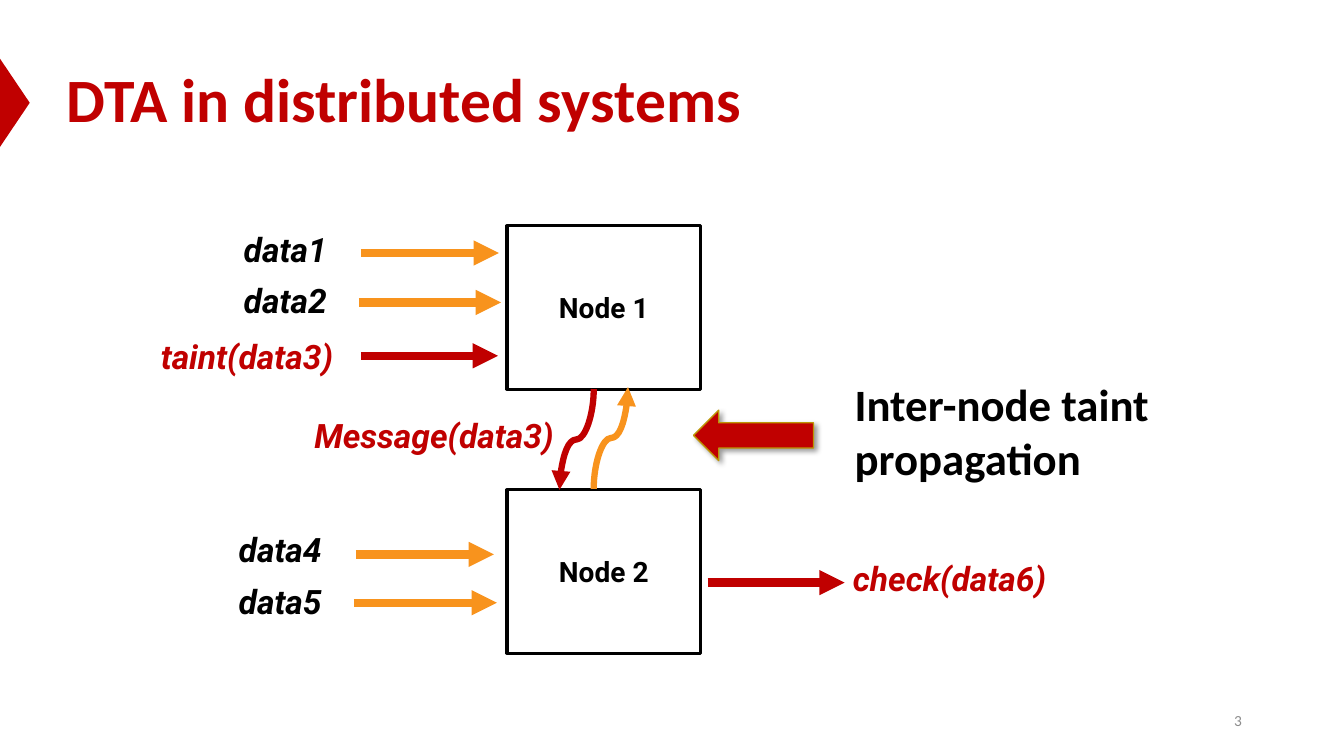
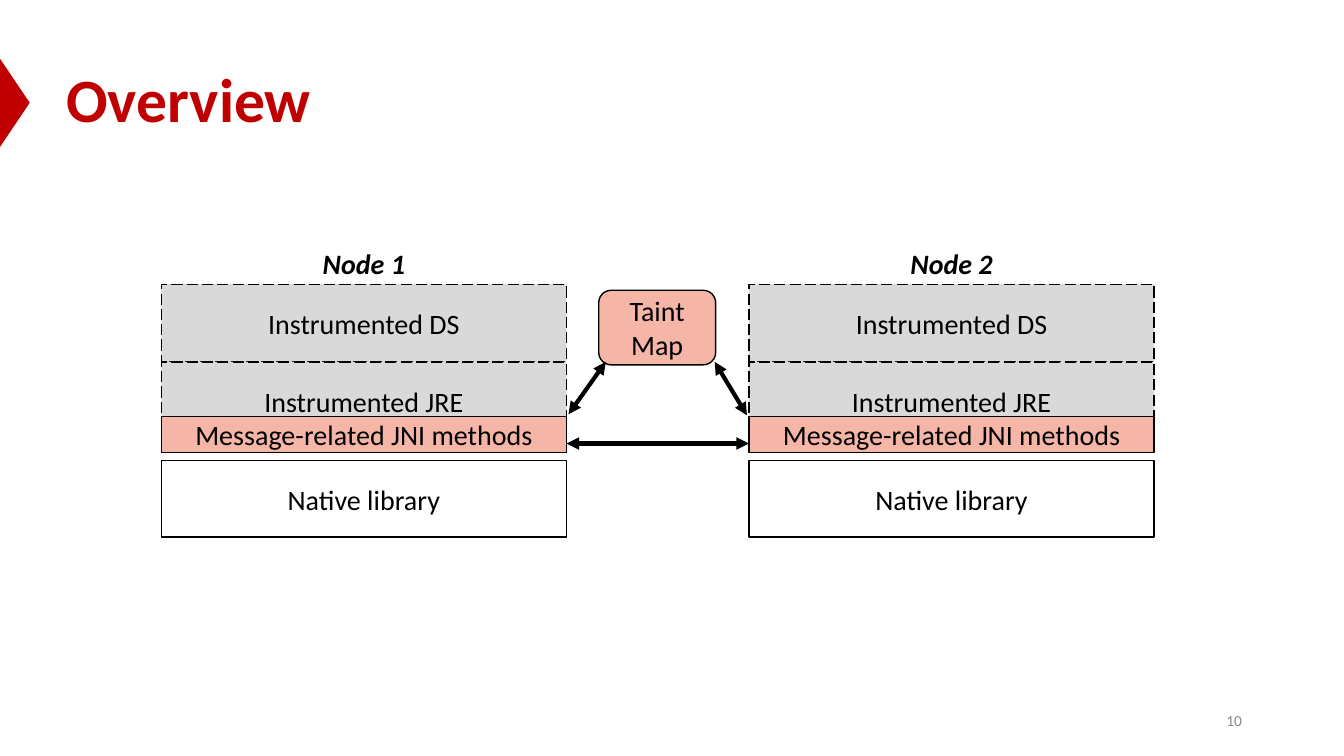
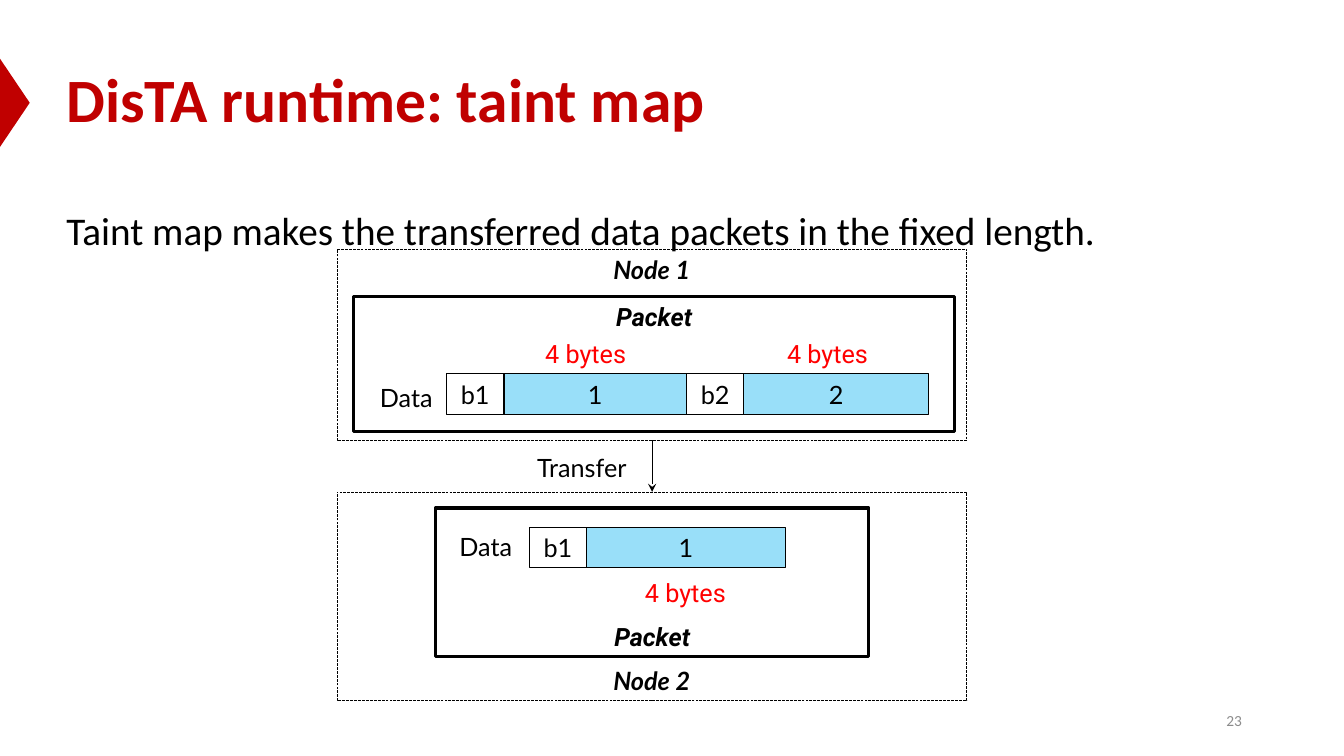
"""Build three slides on distributed taint tracking, on a grid of tenth-inch columns and rows."""
from dataclasses import dataclass
from itertools import accumulate
from typing import NamedTuple, Optional

from lxml.etree import SubElement
from pptx import Presentation
from pptx.dml.color import RGBColor
from pptx.enum.dml import MSO_LINE
from pptx.enum.shapes import MSO_CONNECTOR, MSO_SHAPE
from pptx.enum.text import MSO_ANCHOR, PP_ALIGN
from pptx.oxml.ns import qn
from pptx.util import Inches, Length, Pt


class Area(NamedTuple):
    left: float
    top: float
    width: float
    height: float


class Point(NamedTuple):
    column: float
    row: float


@dataclass(frozen=True)
class Type:
    font: str
    size: float
    color: str = "000000"
    bold: bool = False
    italic: bool = False


@dataclass(frozen=True)
class Theme:
    columns: float = 133.33
    rows: float = 75
    red: str = "C00000"
    orange: str = "F8931D"
    black: str = "000000"
    white: str = "FFFFFF"
    gray: str = "D9D9D9"
    salmon: str = "F5B6A7"
    sky: str = "99DFF9"
    gold: str = "BD9506"
    title: Type = Type("Calibri", 44, "C00000", True)
    number: Type = Type("Calibri", 11, "8C8C8C")
    bullet: Type = Type("Calibri", 28)
    callout: Type = Type("Calibri", 32, bold=True)
    node: Type = Type("Roboto", 20, bold=True)
    data: Type = Type("Roboto", 24, bold=True, italic=True)
    taint: Type = Type("Roboto", 24, "C00000", True, True)
    layer: Type = Type("Calibri", 20)
    layer_head: Type = Type("Calibri", 20, bold=True, italic=True)
    cell: Type = Type("Lato", 18)
    frame: Type = Type("Lato", 18, bold=True, italic=True)
    packet: Type = Type("Roboto", 18, bold=True, italic=True)
    size_note: Type = Type("Roboto", 18, "FF0000")


@dataclass(frozen=True)
class Look:
    fill: Optional[str] = None
    line: Optional[str] = "000000"
    weight: float = 1
    dashed: bool = False


@dataclass(frozen=True)
class Flow:
    label: str
    place: Point
    start: Point
    length: float
    tainted: bool = False


@dataclass(frozen=True)
class Layer:
    label: str
    top: float
    height: float
    look: Look


@dataclass(frozen=True)
class Cell:
    label: str
    width: float
    fill: Optional[str] = None


THEME = Theme()
LABEL_WIDTH, LABEL_HEIGHT = 22, 5
NODE_LOOK = Look(THEME.white, weight=2.25)
NODES = {"Node 1": 22.4, "Node 2": 48.6}
FLOWS = [
    Flow("data1", Point(17.3, 22.2), Point(35.8, 25.1), 13.7),
    Flow("data2", Point(17.3, 27.3), Point(35.6, 30), 14.1),
    Flow("taint(data3)", Point(13.5, 32.8), Point(35.8, 35.3), 13.6, True),
    Flow("data4", Point(16.8, 52), Point(35.3, 55), 13.7),
    Flow("data5", Point(16.8, 57.1), Point(35.1, 59.8), 14.2),
    Flow("check(data6)", Point(83.2, 54.9), Point(70.2, 57.8), 13.6, True),
]
LAYER_WIDTH = 40.2
LAYERS = [
    Layer("Instrumented DS", 28.2, 7.7, Look(THEME.gray, dashed=True)),
    Layer("", 35.9, 7.7, Look(THEME.gray, dashed=True)),
    Layer("Native library", 45.7, 7.6, Look()),
    Layer("Instrumented JRE", 37.6, 4.4, Look(line=None)),
    Layer("Message-related JNI methods", 41.3, 3.6, Look(THEME.salmon)),
]
STACKS = {"Node 1": 16, "Node 2": 74.3}
LINKS = [
    (Point(56.2, 44), Point(74.3, 44)),
    (Point(56.4, 41.1), Point(60.1, 35.9)),
    (Point(74.1, 41.2), Point(70.9, 35.9)),
]
CELL_HEIGHT = 4
SENT = [Cell("b1", 5.7), Cell("1", 18.1, THEME.sky), Cell("b2", 5.7), Cell("2", 18.3, THEME.sky)]
RECEIVED = [Cell("b1", 5.7), Cell("1", 19.7, THEME.sky)]


def grid(units: float) -> Length:
    return Inches(units / 10)


def write(box, text: str, style: Type, align=PP_ALIGN.CENTER, anchor=MSO_ANCHOR.TOP) -> None:
    frame = box.text_frame
    frame.word_wrap = True
    frame.vertical_anchor = anchor
    if anchor == MSO_ANCHOR.MIDDLE:
        frame.margin_top = frame.margin_bottom = 0
    frame.text = text
    for para in frame.paragraphs:
        para.alignment = align
        for span in para.runs:
            span.font.name = style.font
            span.font.size = Pt(style.size)
            span.font.bold = style.bold
            span.font.italic = style.italic
            span.font.color.rgb = RGBColor.from_string(style.color)


def add_label(page, area: Area, text: str, style: Type, align=PP_ALIGN.CENTER, anchor=MSO_ANCHOR.TOP):
    box = page.shapes.add_textbox(*map(grid, area))
    write(box, text, style, align, anchor)
    return box


def add_box(page, area: Area, look: Look, text: str = "", style: Type = THEME.layer,
            anchor=MSO_ANCHOR.MIDDLE, kind=MSO_SHAPE.RECTANGLE):
    box = page.shapes.add_shape(kind, *map(grid, area))
    box.shadow.inherit = False
    if look.fill:
        box.fill.solid()
        box.fill.fore_color.rgb = RGBColor.from_string(look.fill)
    else:
        box.fill.background()
    if look.line:
        box.line.color.rgb = RGBColor.from_string(look.line)
        box.line.width = Pt(look.weight)
        if look.dashed:
            box.line.dash_style = MSO_LINE.LONG_DASH
    else:
        box.line.fill.background()
    if text:
        write(box, text, style, anchor=anchor)
    return box


def add_arrow(page, start: Point, end: Point, color: str, weight: float, head: str = "triangle",
              both: bool = False, kind=MSO_CONNECTOR.STRAIGHT):
    arrow = page.shapes.add_connector(kind, *map(grid, (*start, *end)))
    arrow.line.color.rgb = RGBColor.from_string(color)
    arrow.line.width = Pt(weight)
    outline = arrow.line._get_or_add_ln()
    if both:
        SubElement(outline, qn("a:headEnd"), type=head)
    SubElement(outline, qn("a:tailEnd"), type=head)
    SubElement(arrow._element.spPr, qn("a:effectLst"))
    return arrow


def add_upright_curve(page, start: Point, end: Point, color: str) -> None:
    middle = Point((start.column + end.column) / 2, (start.row + end.row) / 2)
    reach, sway = abs(end.row - start.row) / 2, abs(end.column - start.column) / 2
    curve = add_arrow(page, Point(middle.column - reach, middle.row - sway),
                      Point(middle.column + reach, middle.row + sway), color, 4.5,
                      kind=MSO_CONNECTOR.CURVE)
    degrees = 90 if end.row > start.row else 270
    curve._element.spPr.find(qn("a:xfrm")).set("rot", str(degrees * 60000))


def add_soft_shadow(box) -> None:
    effects = box._element.spPr.find(qn("a:effectLst"))
    shadow = SubElement(effects, qn("a:outerShdw"), blurRad=str(Pt(4)), dist=str(Pt(3)),
                        dir=str(45 * 60000), algn="tl", rotWithShape="0")
    tint = SubElement(shadow, qn("a:srgbClr"), val=THEME.black)
    SubElement(tint, qn("a:alpha"), val="40000")


def add_page(deck, title: str, number: int):
    page = deck.slides.add_slide(deck.slide_layouts[6])
    marker = add_box(page, Area(-3, 8.7, 8.9, 3), Look(THEME.red, None),
                     kind=MSO_SHAPE.ISOSCELES_TRIANGLE)
    marker.rotation = 90
    heading = add_label(page, Area(5.6, 2.9, 127.7, 14.5), title, THEME.title,
                        PP_ALIGN.LEFT, MSO_ANCHOR.MIDDLE)
    heading.text_frame.paragraphs[0].line_spacing = 0.9
    add_label(page, Area(94.2, 69.5, 30, 4), str(number), THEME.number,
              PP_ALIGN.RIGHT, MSO_ANCHOR.MIDDLE)
    return page


def add_bullet(page, area: Area, text: str) -> None:
    box = page.shapes.add_textbox(*map(grid, area))
    para = box.text_frame.paragraphs[0]
    para.line_spacing = 0.9
    properties = para._p.get_or_add_pPr()
    properties.set("marL", str(grid(4)))
    properties.set("indent", str(-grid(4)))
    SubElement(properties, qn("a:buFont"), typeface="Wingdings")
    SubElement(properties, qn("a:buChar"), char="➢")
    write(box, text, THEME.bullet, PP_ALIGN.LEFT)


def add_cells(page, left: float, top: float, cells: list[Cell]) -> None:
    edges = accumulate((cell.width for cell in cells), initial=left)
    for edge, cell in zip(edges, cells):
        add_box(page, Area(edge, top, cell.width, CELL_HEIGHT), Look(cell.fill, weight=0.75),
                cell.label, THEME.cell)


def build_distributed(deck) -> None:
    page = add_page(deck, "DTA in distributed systems", 3)
    for name, top in NODES.items():
        add_box(page, Area(50.3, top, 19.2, 16.2), NODE_LOOK, name, THEME.node)
    for flow in FLOWS:
        add_label(page, Area(*flow.place, LABEL_WIDTH, LABEL_HEIGHT), flow.label,
                  THEME.taint if flow.tainted else THEME.data)
        end = Point(flow.start.column + flow.length, flow.start.row)
        add_arrow(page, flow.start, end, THEME.red if flow.tainted else THEME.orange, 6)
    add_upright_curve(page, Point(58.9, 38.6), Point(55.5, 48.6), THEME.red)
    add_upright_curve(page, Point(58.9, 48.5), Point(62.3, 38.4), THEME.orange)
    add_label(page, Area(30.1, 40.7, 25.9, LABEL_HEIGHT), "Message(data3)", THEME.taint)
    pointer = add_box(page, Area(68.8, 40.7, 11.9, 5), Look(THEME.red, THEME.gold),
                      kind=MSO_SHAPE.LEFT_ARROW)
    add_soft_shadow(pointer)
    add_label(page, Area(83.8, 36.9, 32.1, 11.8), "Inter-node taint propagation",
              THEME.callout, PP_ALIGN.LEFT)


def build_overview(deck) -> None:
    page = add_page(deck, "Overview", 10)
    add_box(page, Area(59.4, 28.8, 11.6, 7.4), Look(THEME.salmon), "Taint\nMap",
            kind=MSO_SHAPE.FLOWCHART_ALTERNATE_PROCESS)
    for name, left in STACKS.items():
        add_label(page, Area(left, 24, LAYER_WIDTH, 4.4), name, THEME.layer_head)
        for layer in LAYERS:
            add_box(page, Area(left, layer.top, LAYER_WIDTH, layer.height), layer.look, layer.label)
    for start, end in LINKS:
        add_arrow(page, start, end, THEME.black, 3, both=True)


def build_taint_map(deck) -> None:
    page = add_page(deck, "DisTA runtime: taint map", 23)
    add_bullet(page, Area(5.6, 20, 118.6, 47.6),
               "Taint map makes the transferred data packets in the fixed length.")
    border = Look(weight=0.25, dashed=True)
    add_box(page, Area(33.4, 24.7, 62.5, 19), border, "Node 1", THEME.frame, MSO_ANCHOR.TOP)
    add_box(page, Area(33.4, 48.8, 62.5, 20.7), border, "Node 2", THEME.frame, MSO_ANCHOR.BOTTOM)
    add_arrow(page, Point(64.7, 43.7), Point(64.7, 48.8), THEME.black, 0.75, "stealth")
    add_box(page, Area(35.1, 29.4, 59.6, 13.4), NODE_LOOK, "Packet", THEME.packet, MSO_ANCHOR.TOP)
    add_box(page, Area(43.2, 50.4, 43, 14.7), NODE_LOOK, "Packet", THEME.packet, MSO_ANCHOR.BOTTOM)
    add_cells(page, 44.3, 37.1, SENT)
    add_cells(page, 52.5, 52.3, RECEIVED)
    for text, left, top, style in (
        ("Transfer", 52.3, 44.4, THEME.cell),
        ("Data", 36.7, 37.4, THEME.cell),
        ("Data", 44.6, 52.2, THEME.cell),
        ("4 bytes", 53.1, 33.1, THEME.size_note),
        ("4 bytes", 77.1, 33.1, THEME.size_note),
        ("4 bytes", 63, 56.8, THEME.size_note),
    ):
        add_label(page, Area(left, top, 13, CELL_HEIGHT), text, style, PP_ALIGN.LEFT)


def main() -> None:
    deck = Presentation()
    deck.slide_width, deck.slide_height = grid(THEME.columns), grid(THEME.rows)
    for build in (build_distributed, build_overview, build_taint_map):
        build(deck)
    deck.save("out.pptx")


if __name__ == "__main__":
    main()
